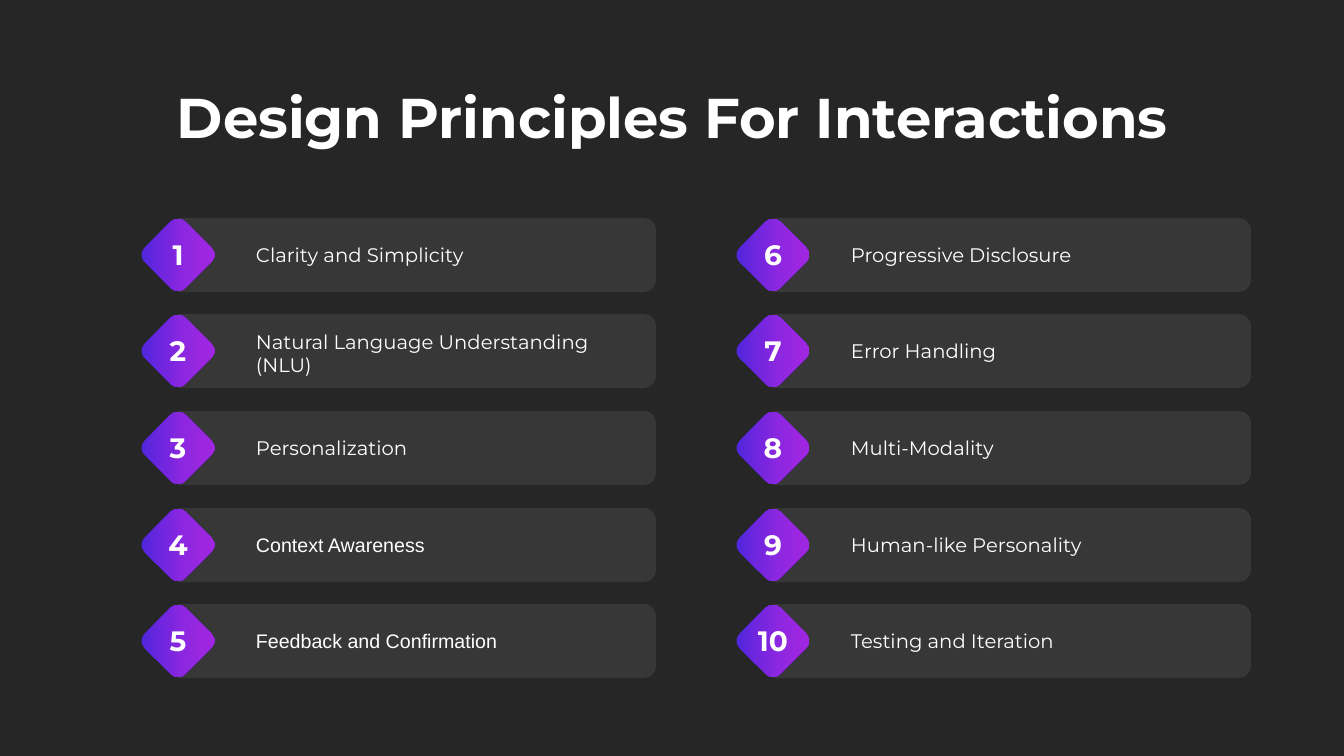
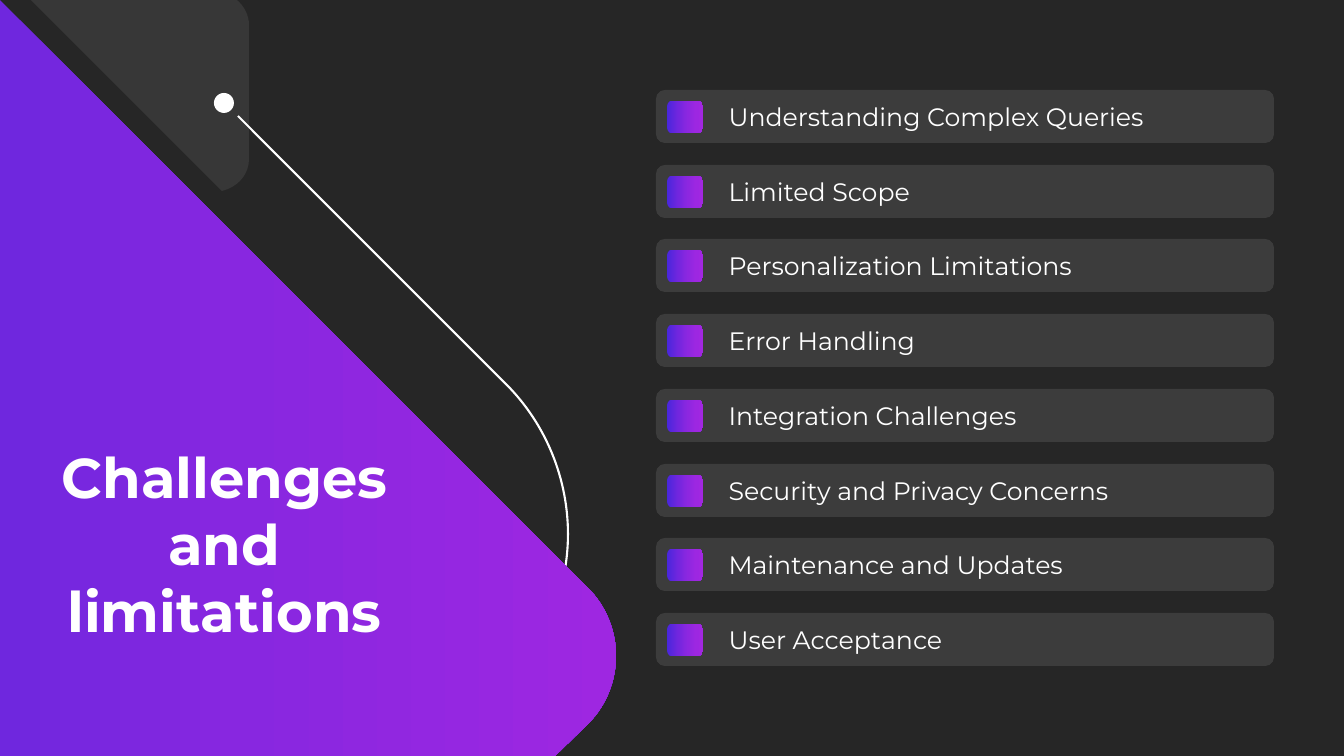
from lxml import etree
from pptx import Presentation, util as u
from pptx.dml.color import RGBColor
from pptx.enum import shapes, text
from pptx.oxml.ns import qn

WIDE, HIGH = 1344, 756
SCALE = 12192000 / WIDE
FONT = "Montserrat"
COLORS = {"back": "262626", "white": "FFFFFF"}
VIVID = [(0, "4826DC"), (3, "4D26DC"), (32, "7226DE"),
         (58, "8D27E0"), (82, "9D27E1"), (100, "A327E1")]
WEDGE = [(0, "6F27DE"), (39, "8827E0"), (100, "9E27E1")]
KIND = shapes.MSO_SHAPE
ALIGN = text.PP_ALIGN
ANCHOR = text.MSO_ANCHOR

# Words, font and number of lines
RULES = [
    ("Clarity and Simplicity", FONT, 1),
    ("Natural Language Understanding (NLU)", FONT, 2),
    ("Personalization", FONT, 1),
    ("Context Awareness", "Arial", 1),
    ("Feedback and Confirmation", "Arial", 1),
    ("Progressive Disclosure", FONT, 1),
    ("Error Handling", FONT, 1),
    ("Multi-Modality", FONT, 1),
    ("Human-like Personality", FONT, 1),
    ("Testing and Iteration", FONT, 1),
]
LIMITS = [
    "Understanding Complex Queries",
    "Limited Scope",
    "Personalization Limitations",
    "Error Handling",
    "Integration Challenges",
    "Security and Privacy Concerns",
    "Maintenance and Updates",
    "User Acceptance",
]


def px(*sizes):
    return [u.Emu(round(size * SCALE)) for size in sizes]


def color(name):
    return RGBColor.from_string(COLORS[name])


# Fills
def tint(shape, alpha=100):
    """Fill with white at the given opacity in percent."""
    shape.fill.solid()
    shape.fill.fore_color.rgb = color("white")
    if alpha < 100:
        tone = shape._element.spPr.find(".//" + qn("a:srgbClr"))
        etree.SubElement(tone, qn("a:alpha"), val=str(alpha * 1000))


def blend(shape, stops, angle=0):
    """Fill with a gradient, its angle counted anticlockwise."""
    shape.fill.gradient()
    shape.fill.gradient_angle = angle
    ramp = shape._element.spPr.find(".//" + qn("a:gsLst"))
    ramp.clear()
    for spot, tone in stops:
        stop = etree.SubElement(ramp, qn("a:gs"), pos=str(spot * 1000))
        etree.SubElement(stop, qn("a:srgbClr"), val=tone)


# Shapes
def add(slide, kind, *box, turn=0):
    shape = slide.shapes.add_shape(kind, *px(*box))
    shape.rotation = turn
    shape.shadow.inherit = False
    shape.line.fill.background()
    return shape


def bend(shape, moves):
    """Join the three segments of each curved move into one Bezier curve."""
    legs = iter(shape._element.spPr.findall(".//" + qn("a:lnTo")))
    for move in moves:
        leg = next(legs)
        if len(move) == 3:
            arc = etree.Element(qn("a:cubicBezTo"))
            leg.addprevious(arc)
            for part in (leg, next(legs), next(legs)):
                arc.append(part[0])
                part.getparent().remove(part)


def trace(slide, start, *moves, close=True):
    """Outline in which a move is one point, or three for a curve."""
    spots = []
    for move in moves:
        spots += move if len(move) == 3 else [move]
    pen = slide.shapes.build_freeform(*px(*start), scale=1.0)
    pen.add_line_segments([px(*spot) for spot in spots], close=close)
    shape = pen.convert_to_shape()
    bend(shape, moves)
    shape.shadow.inherit = False
    shape.line.fill.background()
    return shape


# Text
def write(shape, words, size, font=FONT, bold=False, align=ALIGN.LEFT,
          anchor=ANCHOR.MIDDLE):
    frame = shape.text_frame
    frame.text = words
    frame.word_wrap = True
    frame.auto_size = text.MSO_AUTO_SIZE.NONE
    frame.vertical_anchor = anchor
    para = frame.paragraphs[0]
    para.alignment = align
    para.font.name = font
    para.font.size = u.Pt(size)
    para.font.bold = bold
    para.font.color.rgb = color("white")


def label(slide, box, words, size, **style):
    write(slide.shapes.add_textbox(*px(*box)), words, size, **style)


def head(slide, words, *box):
    title = slide.shapes.title
    title.left, title.top, title.width, title.height = px(*box)
    write(title, words, 40, bold=True, align=ALIGN.CENTER, anchor=ANCHOR.TOP)


# Repeated items
def rule(slide, left, top, rank, words, font, lines):
    """Numbered diamond at the left end of a bar."""
    long, thick, side = 478, 74, 57
    mid = top + thick // 2
    bar = add(slide, KIND.ROUND_2_SAME_RECTANGLE, left + (long - thick) / 2,
              mid - long / 2, thick, long, turn=90)
    tint(bar, 8)
    gem = add(slide, KIND.ROUNDED_RECTANGLE, left - side / 2, mid - side / 2,
              side, side, turn=45)
    blend(gem, VIVID, 45)
    label(slide, (left + 68, mid - 7 - 10 * lines, 383, 10 + 24 * lines),
          words, 14, font=font)
    label(slide, (left - 28, mid - 23, 56, 44), str(rank), 20, bold=True,
          align=ALIGN.CENTER)


def limit(slide, left, top, words):
    """Bar with a small coloured tile."""
    bar = add(slide, KIND.ROUNDED_RECTANGLE, left, top, 618, 53)
    tint(bar, 10)
    write(bar, words, 18)
    bar.text_frame.margin_left = px(70)[0]
    tile = add(slide, KIND.ROUNDED_RECTANGLE, left + 11, top + 11, 36, 32)
    blend(tile, VIVID)


# Slides
def rules(slide):
    head(slide, "Design Principles For Interactions", 1, 77, 1343, 78)
    rows = len(RULES) // 2
    for i, item in enumerate(RULES):
        col, row = divmod(i, rows)
        top = 218 + round(row * 386 / (rows - 1))
        rule(slide, 178 + col * 595, top, i + 1, *item)


def limits(slide):
    # Line and dot
    wire = trace(slide, (238, 116), (506, 384),
                 ((547, 425), (568, 480), (568, 534)),
                 ((568, 588), (547, 642), (506, 683)), (455, 734), close=False)
    wire.fill.background()
    wire.line.color.rgb = color("white")
    wire.line.width = u.Pt(1.5)
    tint(add(slide, KIND.OVAL, 214, 93, 20, 20))

    # Wedge, title and corner panel
    wedge = trace(slide, (0, 0), (0, HIGH), (555, HIGH), (588, 724),
                  ((607, 705), (616, 680), (616, 656)),
                  ((616, 632), (607, 607), (588, 588)))
    blend(wedge, WEDGE)
    head(slide, "Challenges and limitations", 24, 437, 401, 211)
    slide.shapes._spTree.append(slide.shapes.title._element)
    panel = trace(slide, (31, 0), (222, 191), (228, 189),
                  ((240, 184), (249, 173), (249, 159)), (249, 25),
                  ((249, 15), (244, 6), (237, 0)))
    tint(panel, 8)
    wire.line.fill.fore_color.rgb = color("white")

    # List
    for i, words in enumerate(LIMITS):
        limit(slide, 656, 90 + round(i * 523 / (len(LIMITS) - 1)), words)


def main():
    deck = Presentation()
    deck.slide_width, deck.slide_height = px(WIDE, HIGH)
    back = deck.slide_master.background.fill
    back.solid()
    back.fore_color.rgb = color("back")
    for fill in (rules, limits):
        fill(deck.slides.add_slide(deck.slide_layouts[5]))
    deck.save("out.pptx")


if __name__ == "__main__":
    main()
